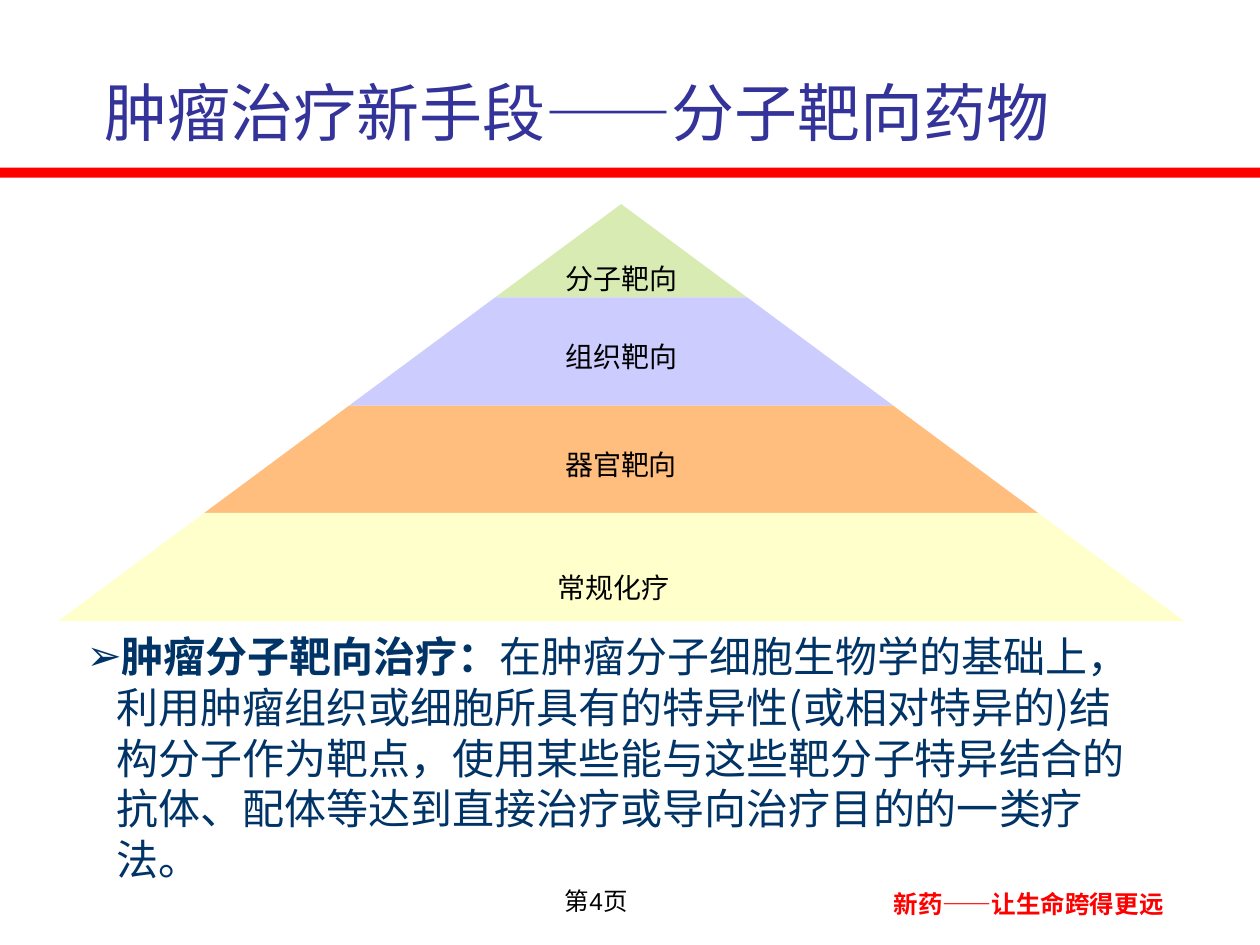
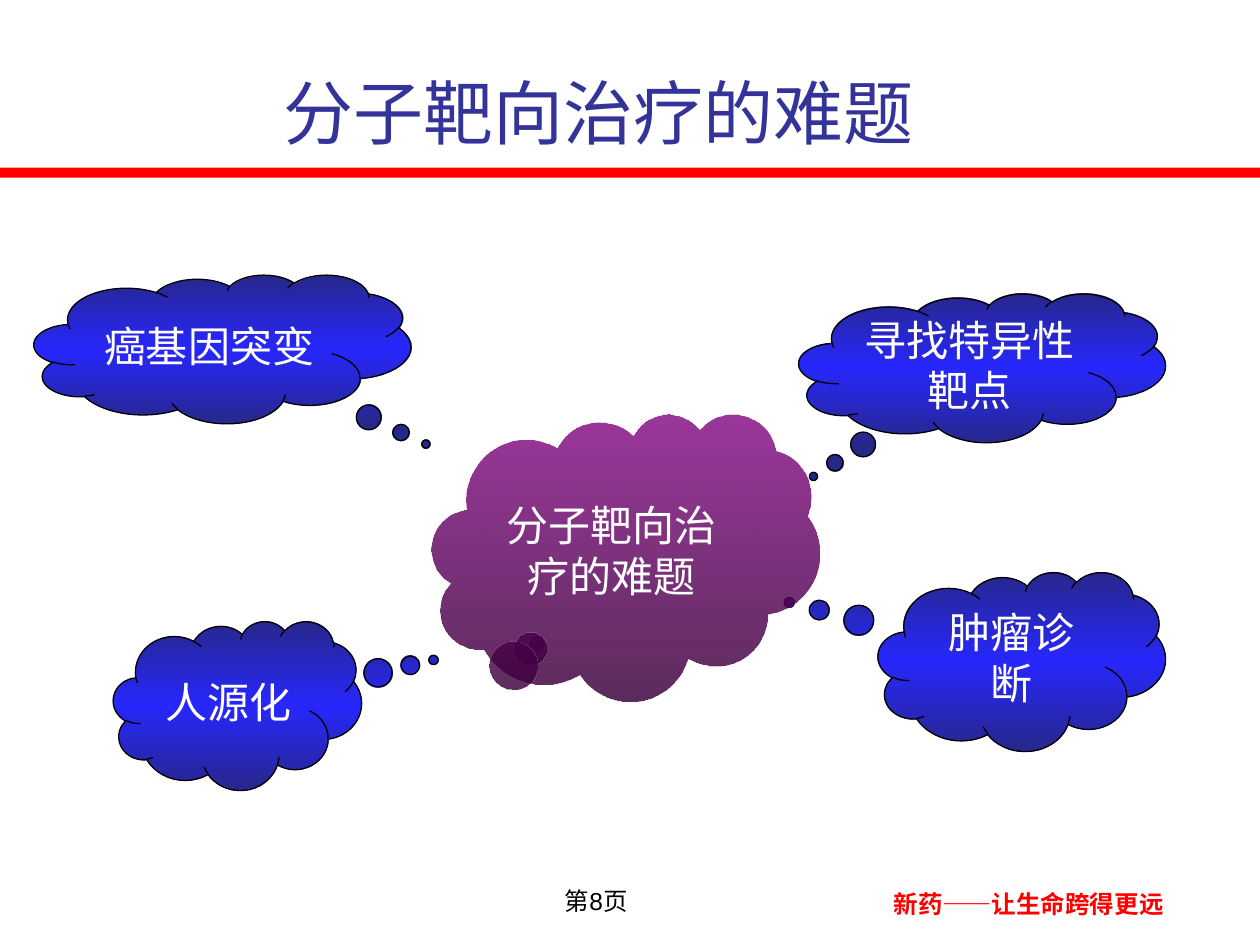
"""Build two slides on molecular targeted cancer therapy."""
from lxml import etree
from pptx import Presentation
from pptx.dml.color import RGBColor
from pptx.enum.shapes import MSO_SHAPE
from pptx.enum.text import MSO_ANCHOR, MSO_AUTO_SIZE, PP_ALIGN
from pptx.oxml.ns import qn
from pptx.util import Inches, Pt

CENTER, RIGHT, LEFT = PP_ALIGN.CENTER, PP_ALIGN.RIGHT, PP_ALIGN.LEFT
TOP, MIDDLE = MSO_ANCHOR.TOP, MSO_ANCHOR.MIDDLE
NO_AUTOFIT = MSO_AUTO_SIZE.NONE
RECTANGLE, CLOUD = MSO_SHAPE.RECTANGLE, MSO_SHAPE.CLOUD_CALLOUT
TITLE_ONLY = 5

EAST_ASIAN_FONT = "Noto Sans CJK SC"
RED, BLACK, WHITE, NAVY, INDIGO = "FF0000", "000000", "FFFFFF", "003366", "333399"
LINE_PITCH = 1.2

SLOGAN = "新药——让生命跨得更远"
BAND_BOX = (0, 1.33, 10, 0.08)
SLOGAN_BOX = (6.58, 7, 3.17, 0.33)
PAGE_BOX = (2.75, 6.98, 2.33, 0.52)

TITLE_FORMAT = {"name": "Arial", "bold": False}
FOOTER_FORMAT = {"name": "Arial", "size": Pt(14)}
LEVEL_FORMAT = {"name": "Karla", "size": Pt(16)}
CLOUD_FORMAT = {"name": "Karla", "size": Pt(24)}
BODY_FORMAT = {"name": EAST_ASIAN_FONT, "size": Pt(24)}

APEX_X, APEX_Y, HALF_WIDTH_SLOPE = 4.93, 1.62, 1.35
PYRAMID_LEVELS = [
    ("分子靶向", "D8EBB3", 2.36, 0.22, 0),
    ("组织靶向", "CCCCFF", 3.22, 0.04, 0),
    ("器官靶向", "FFBE7D", 4.07, 0.04, 0),
    ("常规化疗", "FFFFCC", 4.93, 0.16, 0.06),
]
DEFINITION_BOX = (0.59, 5.16, 8.66, 1.7)
DEFINITION_TERM = "肿瘤分子靶向治疗："
DEFINITION = (
    "在肿瘤分子细胞生物学的基础上，利用肿瘤组织或细胞所具有的特异性(或相对特异的)结构分子作为靶点，"
    "使用某些能与这些靶分子特异结合的抗体、配体等达到直接治疗或导向治疗目的的一类疗法。"
)

BLUE_STOPS = [(0, "000076", 84), (50, "0000FF", 84), (100, "000076", 84)]
PURPLE_STOPS = [(0, "800080", 79), (100, "3B003B", 83)]
PROBLEM_CLOUDS = [
    ("寻找特异性靶点", (6.34, 2.33, 2.91, 1.18), (-0.46, 0.73)),
    ("肿瘤诊断", (6.97, 4.54, 2.28, 1.42), (-0.81, -0.33)),
    ("癌基因突变", (0.27, 2.18, 2.99, 1.18), (0.54, 0.64)),
    ("人源化", (0.9, 4.93, 1.97, 1.34), (0.79, -0.27)),
]
CENTRAL_CLOUD = ("分子靶向治疗的难题", (3.43, 3.28, 3.07, 2.28), (-0.23, 0.3))


def colour(value):
    """Turn a hex string into a colour."""
    return RGBColor.from_string(value)


def lengths(box):
    """Turn a box in inches into lengths."""
    return [Inches(value) for value in box]


def add_run(paragraph, text, text_colour, formats):
    """Append a formatted run to a paragraph."""
    run = paragraph.add_run()
    run.text = text
    for name, value in formats.items():
        setattr(run.font, name, value)
    run.font.color.rgb = colour(text_colour)
    properties = run.font._element
    etree.SubElement(properties, qn("a:ea"), typeface=EAST_ASIAN_FONT)


def write(shape, runs, alignment=CENTER, anchor=MIDDLE):
    """Write one paragraph of (text, colour, formats) runs into a shape."""
    frame = shape.text_frame
    frame.word_wrap = True
    frame.auto_size = NO_AUTOFIT
    frame.vertical_anchor = anchor
    paragraph = frame.paragraphs[0]
    paragraph.alignment = alignment
    paragraph.line_spacing = Pt(round(runs[0][2]["size"].pt * LINE_PITCH))
    for run in runs:
        add_run(paragraph, *run)
    return paragraph


def fill_plain(shape, fill_colour):
    """Give a shape a flat fill without line or shadow."""
    shape.shadow.inherit = False
    shape.fill.solid()
    shape.fill.fore_color.rgb = colour(fill_colour)
    shape.line.fill.background()


def fill_gradient(shape, stops):
    """Give a shape a vertical gradient of (position, colour, opacity) stops."""
    shape.fill.background()
    properties = shape._element.spPr
    gradient = etree.Element(qn("a:gradFill"), rotWithShape="1")
    stop_list = etree.SubElement(gradient, qn("a:gsLst"))
    for position, stop_colour, opacity in stops:
        stop = etree.SubElement(stop_list, qn("a:gs"), pos=str(position * 1000))
        tint = etree.SubElement(stop, qn("a:srgbClr"), val=stop_colour)
        etree.SubElement(tint, qn("a:alpha"), val=str(opacity * 1000))
    etree.SubElement(gradient, qn("a:lin"), ang="5400000", scaled="1")
    properties.replace(properties.find(qn("a:noFill")), gradient)


def add_slide(presentation, title, title_left, title_size, page):
    """Add a slide with its title, red band and footers."""
    slide = presentation.slides.add_slide(presentation.slide_layouts[TITLE_ONLY])
    heading = slide.shapes.title
    heading.left, heading.top, heading.width, heading.height = lengths((title_left, 0.5, 8.5, 0.77))
    write(heading, [(title, INDIGO, {**TITLE_FORMAT, "size": Pt(title_size)})])
    fill_plain(slide.shapes.add_shape(RECTANGLE, *lengths(BAND_BOX)), RED)
    slogan = slide.shapes.add_textbox(*lengths(SLOGAN_BOX))
    write(slogan, [(SLOGAN, RED, {**FOOTER_FORMAT, "bold": True})], anchor=TOP)
    page_label = slide.shapes.add_textbox(*lengths(PAGE_BOX))
    write(page_label, [(f"第{page}页", BLACK, FOOTER_FORMAT)], RIGHT, TOP)
    return slide


def add_pyramid(slide):
    """Stack the treatment levels under a common apex."""
    top = APEX_Y
    for label, level_colour, bottom, text_drop, text_shift in PYRAMID_LEVELS:
        upper, lower = [(y - APEX_Y) * HALF_WIDTH_SLOPE for y in (top, bottom)]
        corners = [(APEX_X + upper, top), (APEX_X + lower, bottom), (APEX_X - lower, bottom)]
        builder = slide.shapes.build_freeform(Inches(APEX_X - upper), Inches(top))
        builder.add_line_segments([lengths(corner) for corner in corners], close=True)
        level = builder.convert_to_shape()
        fill_plain(level, level_colour)
        write(level, [(label, BLACK, LEVEL_FORMAT)])
        level.text_frame.margin_top = Inches(2 * text_drop)
        level.text_frame.margin_bottom = 0
        level.text_frame.margin_right = Inches(0.1 + 2 * text_shift)
        top = bottom


def add_definition(slide):
    """Add the bulleted definition below the pyramid."""
    box = slide.shapes.add_textbox(*lengths(DEFINITION_BOX))
    paragraph = write(box, [
        (DEFINITION_TERM, NAVY, {**BODY_FORMAT, "bold": True}),
        (DEFINITION, NAVY, {**BODY_FORMAT, "bold": False}),
    ], LEFT)
    properties = paragraph._p.get_or_add_pPr()
    properties.set("marL", str(Inches(0.24)))
    properties.set("indent", str(-Inches(0.24)))
    properties.set("hangingPunct", "0")
    bullet_colour = etree.SubElement(properties, qn("a:buClr"))
    etree.SubElement(bullet_colour, qn("a:srgbClr"), val=NAVY)
    etree.SubElement(properties, qn("a:buFont"), typeface="Arial")
    etree.SubElement(properties, qn("a:buChar"), char="➢")


def add_cloud(slide, label, box, tail, stops):
    """Add a thought cloud whose bubbles lead to the tail."""
    cloud = slide.shapes.add_shape(CLOUD, *lengths(box))
    cloud.shadow.inherit = False
    for index, offset in enumerate(tail):
        cloud.adjustments[index] = offset
    fill_gradient(cloud, stops)
    write(cloud, [(label, WHITE, CLOUD_FORMAT)])
    return cloud


def main():
    """Build and save the presentation."""
    presentation = Presentation()
    presentation.slide_width, presentation.slide_height = Inches(10), Inches(7.5)

    therapy_slide = add_slide(presentation, "肿瘤治疗新手段——分子靶向药物", 0.33, 36, 4)
    add_pyramid(therapy_slide)
    add_definition(therapy_slide)

    problem_slide = add_slide(presentation, "分子靶向治疗的难题", 0.5, 40, 8)
    for problem in PROBLEM_CLOUDS:
        cloud = add_cloud(problem_slide, *problem, BLUE_STOPS)
        cloud.line.color.rgb = colour(BLACK)
        cloud.line.width = Pt(0.75)
    add_cloud(problem_slide, *CENTRAL_CLOUD, PURPLE_STOPS).line.fill.background()

    presentation.save("out.pptx")


if __name__ == "__main__":
    main()
